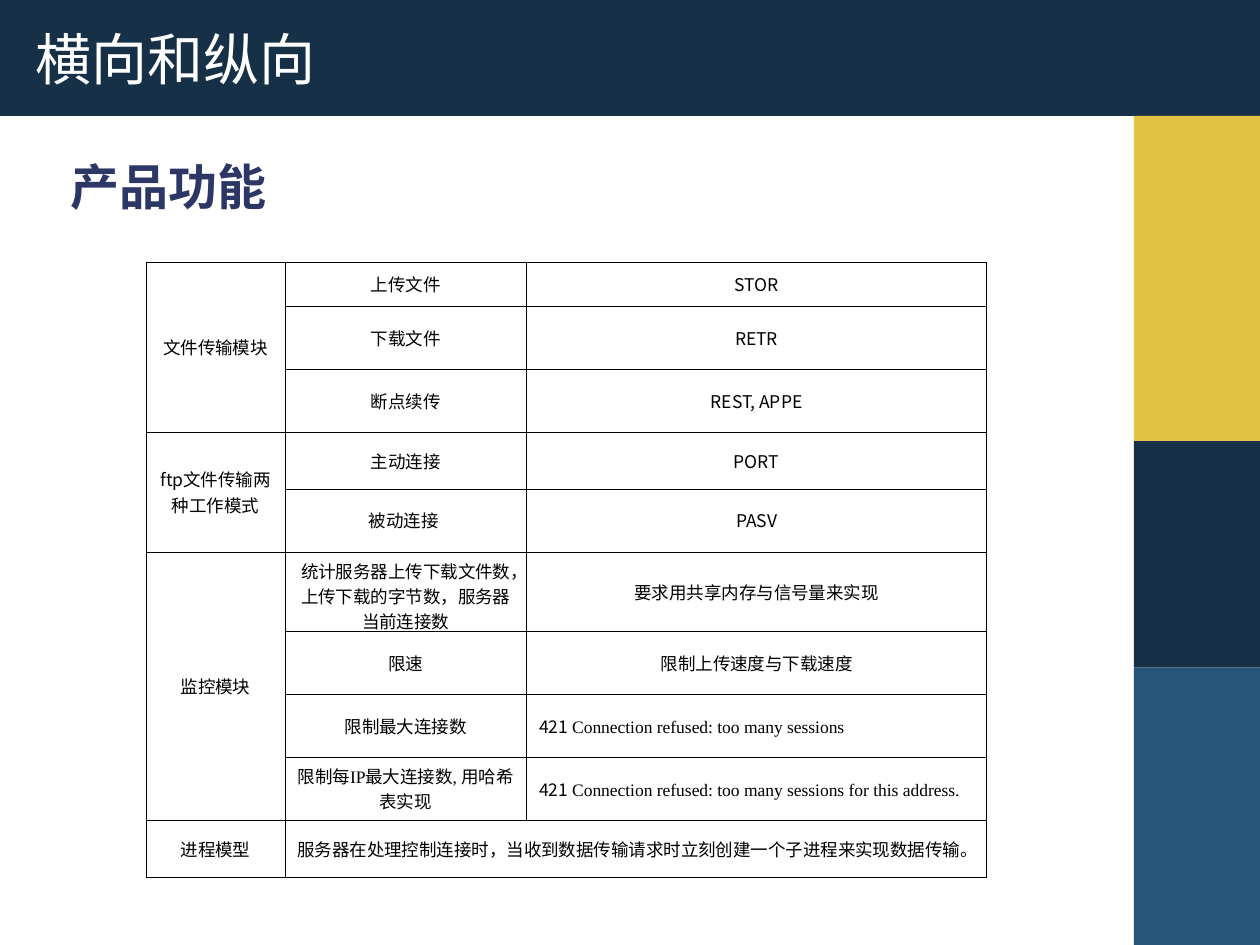
from lxml import etree
from pptx import Presentation
from pptx import util as u
from pptx.dml.color import RGBColor
from pptx.enum import shapes, text
from pptx.oxml.ns import qn

NAVY = RGBColor(0x15, 0x30, 0x47)
BLUE = RGBColor(0x25, 0x55, 0x7B)
GOLD = RGBColor(0xE4, 0xC2, 0x44)
INDIGO = RGBColor(0x2C, 0x37, 0x66)
WHITE = RGBColor(0xFF, 0xFF, 0xFF)
BLACK = RGBColor(0, 0, 0)

CJK = "Noto Sans CJK SC"
SERIF = "Times New Roman"
CENTER, LEFT = text.PP_ALIGN.CENTER, text.PP_ALIGN.LEFT

BANDS = [
    (0, 0, 10, 0.92, NAVY),
    (9, 3.5, 1, 1.8, NAVY),
    (9, 5.3, 1, 2.2, BLUE),
    (9, 0.92, 1, 2.58, GOLD),
]

COLS = [1.1, 1.92, 3.65]
ROWS = [0.35, 0.5, 0.5, 0.45, 0.5, 0.63, 0.5, 0.5, 0.5, 0.45]
MODULES = [
    ("文件传输模块", [
        ("上传文件", "STOR"),
        ("下载文件", "RETR"),
        ("断点续传", "REST, APPE"),
    ]),
    ("ftp文件传输两种工作模式", [
        ("主动连接", "PORT"),
        ("被动连接 ", "PASV"),
    ]),
    ("监控模块", [
        ("统计服务器上传下载文件数，上传下载的字节数，服务器当前连接数",
         "要求用共享内存与信号量来实现"),
        ("限速", "限制上传速度与下载速度"),
        ("限制最大连接数",
         [("421 ", CJK), ("Connection refused: too many sessions", SERIF)]),
        ([("限制每", CJK), ("IP", SERIF), ("最大连接数", CJK),
          (", ", SERIF), ("用哈希表实现", CJK)],
         [("421 ", CJK),
          ("Connection refused: too many sessions for this address.", SERIF)]),
    ]),
]
PROCESS = ("进程模型",
           "服务器在处理控制连接时，当收到数据传输请求时立刻创建一个子进程来实现数据传输。")


def style_run(r, size, color, font, bold=False):
    r.font.size = u.Pt(size)
    r.font.color.rgb = color
    r.font.name = font
    r.font.bold = bold
    etree.SubElement(r._r.get_or_add_rPr(), qn("a:ea"), typeface=CJK)


def add_band(s, x, y, w, h, color):
    sp = s.shapes.add_shape(shapes.MSO_SHAPE.RECTANGLE, u.Inches(x),
                            u.Inches(y), u.Inches(w), u.Inches(h))
    sp.shadow.inherit = False
    sp.fill.solid()
    sp.fill.fore_color.rgb = color
    sp.line.fill.background()


def add_label(s, x, y, w, h, words, size, color, bold=False, wrap=True):
    tf = s.shapes.add_textbox(u.Inches(x), u.Inches(y),
                              u.Inches(w), u.Inches(h)).text_frame
    tf.word_wrap = wrap
    tf.vertical_anchor = text.MSO_ANCHOR.MIDDLE
    tf.text = words
    style_run(tf.paragraphs[0].runs[0], size, color, "Arial", bold)


def set_borders(cell):
    tc_pr = cell._tc.get_or_add_tcPr()
    for side in ("a:lnL", "a:lnR", "a:lnT", "a:lnB"):
        ln = etree.SubElement(tc_pr, qn(side), w=str(u.Pt(0.23)))
        fill = etree.SubElement(ln, qn("a:solidFill"))
        etree.SubElement(fill, qn("a:srgbClr"), val=str(BLACK))


def fill_cell(cell, content, align=CENTER):
    cell.vertical_anchor = text.MSO_ANCHOR.MIDDLE
    p = cell.text_frame.paragraphs[0]
    p.alignment = align
    p.space_before = u.Pt(2.5)
    parts = [(content, CJK)] if isinstance(content, str) else content
    for words, font in parts:
        r = p.add_run()
        r.text = words
        style_run(r, 10, BLACK, font)


def add_function_table(s, x, y):
    table = s.shapes.add_table(
        len(ROWS), len(COLS), u.Inches(x), u.Inches(y),
        u.Inches(sum(COLS)), u.Inches(sum(ROWS))).table
    table.first_row = table.horz_banding = False
    for column, width in zip(table.columns, COLS):
        column.width = u.Inches(width)
    for row, height in zip(table.rows, ROWS):
        row.height = u.Inches(height)
    for cell in table.iter_cells():
        set_borders(cell)
        cell.fill.background()

    top = 0
    for module, functions in MODULES:
        last = top + len(functions) - 1
        table.cell(top, 0).merge(table.cell(last, 0))
        fill_cell(table.cell(top, 0), module)
        for i, (function, detail) in enumerate(functions, top):
            fill_cell(table.cell(i, 1), function)
            fill_cell(table.cell(i, 2), detail,
                      CENTER if isinstance(detail, str) else LEFT)
        top = last + 1

    name, description = PROCESS
    table.cell(top, 1).merge(table.cell(top, 2))
    fill_cell(table.cell(top, 0), name)
    fill_cell(table.cell(top, 1), description, LEFT)


def main():
    prs = Presentation()
    prs.slide_width, prs.slide_height = u.Inches(10), u.Inches(7.5)
    s = prs.slides.add_slide(prs.slide_layouts[6])
    s.background.fill.solid()
    s.background.fill.fore_color.rgb = WHITE
    for band in BANDS:
        add_band(s, *band)
    add_label(s, 0.18, 0.14, 7.75, 0.64, "横向和纵向", 32, WHITE)
    add_label(s, 0.46, 1.19, 1.75, 0.57, "产品功能", 28, INDIGO,
              bold=True, wrap=False)
    add_function_table(s, 1.16, 2.08)
    prs.save("out.pptx")


if __name__ == "__main__":
    main()
